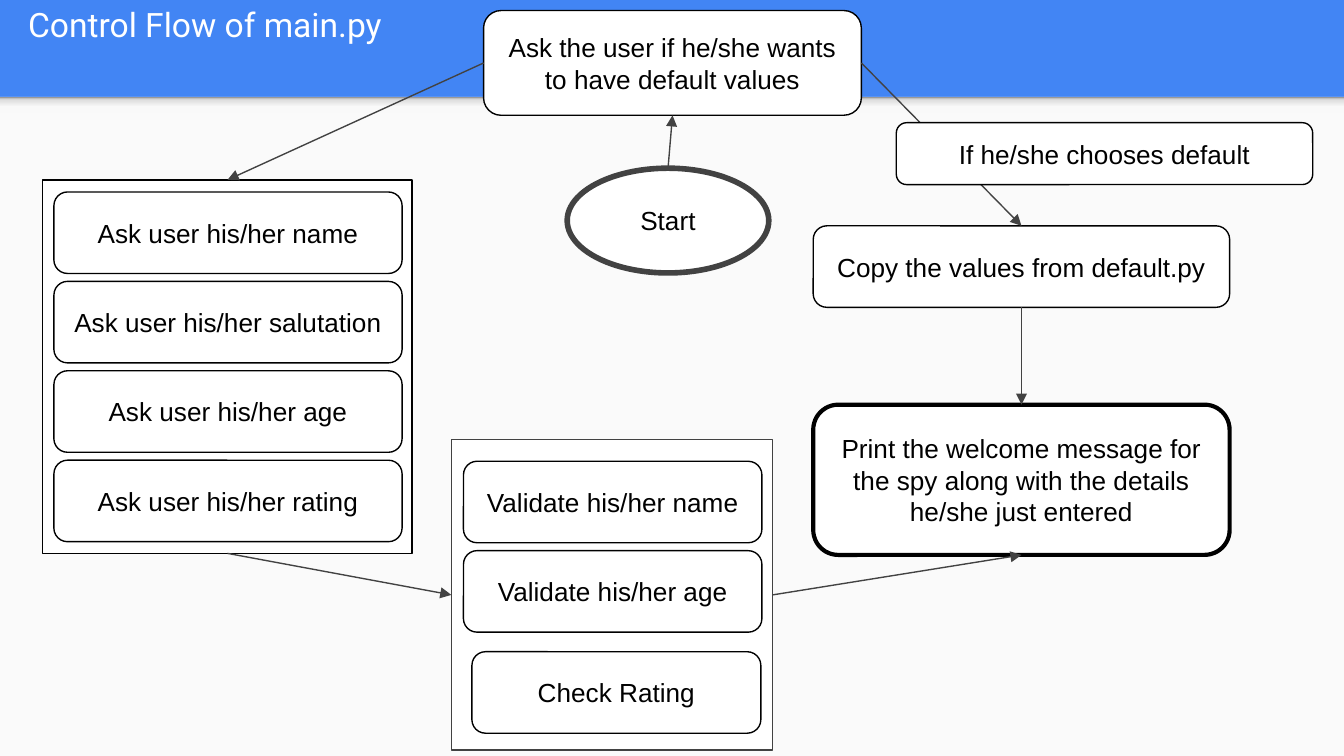
from copy import deepcopy
from pptx import Presentation
from pptx.dml.color import RGBColor as Rgb
from pptx.enum.shapes import MSO_CONNECTOR as Conn, MSO_SHAPE as Form
from pptx.enum.text import MSO_ANCHOR as Anchor, PP_ALIGN as Align
from pptx.oxml.ns import qn
from pptx.util import Cm, Pt
from lxml.etree import SubElement as Sub

HUES = {"blue": "4285F4", "page": "FAFAFA", "white": "FFFFFF",
        "black": "000000", "grey": "424242"}
FADE = [(0, "F9F9F9"), (0.36, "F9F9F9"), (0.8, "DEDEDE"), (1, "999999")]
ROUND, RECT, OVAL = Form.ROUNDED_RECTANGLE, Form.RECTANGLE, Form.OVAL
TITLE = "Control Flow of main.py"

# Lengths in cm: key, form, left, top, width, height, line hue, line points, text
NODES = [
    ("ask", ROUND, 9.14, 0.2, 7.14, 1.98, "black", 0.75,
     "Ask the user if he/she wants to have default values"),
    ("copy", ROUND, 15.37, 4.27, 7.87, 1.54, "black", 0.75,
     "Copy the values from default.py"),
    ("print", ROUND, 15.37, 7.65, 7.87, 2.84, "black", 2.25,
     "Print the welcome message for the spy along with the details he/she just entered"),
    ("input", RECT, 0.81, 3.4, 6.98, 7.06, "black", 0.75, ""),
    ("check", RECT, 8.53, 8.31, 6.07, 5.87, "grey", 0.75, ""),
    ("start", OVAL, 10.72, 3.18, 3.81, 1.98, "grey", 3, "Start"),
]
CHOICE = (ROUND, 16.94, 2.32, 7.87, 1.17, "black", 0.75, "If he/she chooses default")

# Stacks of steps: left, top, width, texts
STACKS = [
    (1.02, 3.63, 6.58, ["Ask user his/her name", "Ask user his/her salutation",
                        "Ask user his/her age", "Ask user his/her rating"]),
    (8.76, 8.72, 5.64, ["Validate his/her name", "Validate his/her age"]),
    (8.92, 12.32, 5.46, ["Check Rating"]),
]
STEP, PITCH = 1.54, 1.69

# Arrows: from, side, to, side
TOP, LEFT, BOTTOM, RIGHT = range(4)
LINKS = [
    ("ask", RIGHT, "copy", TOP), ("copy", BOTTOM, "print", TOP),
    ("ask", LEFT, "input", TOP), ("check", RIGHT, "print", BOTTOM),
    ("start", TOP, "ask", BOTTOM), ("input", BOTTOM, "check", LEFT),
]


def hue(name):
    return Rgb.from_string(HUES[name])


def style(run, face, size, tint):
    for key, val in {"name": face, "size": Pt(size)}.items():
        setattr(run.font, key, val)
    run.font.color.rgb = hue(tint)


def inset(frame):
    for side in ("left", "top", "right", "bottom"):
        setattr(frame, f"margin_{side}", Cm(0.25))
    frame.vertical_anchor = Anchor.MIDDLE
    frame.word_wrap = True


def block(form, x, y, w, h):
    shape = slide.shapes.add_shape(form, Cm(x), Cm(y), Cm(w), Cm(h))
    shape.shadow.inherit = False
    return shape


def node(form, x, y, w, h, edge, width, text):
    shape = block(form, x, y, w, h)
    shape.fill.solid()
    shape.fill.fore_color.rgb = hue("white")
    shape.line.color.rgb = hue(edge)
    shape.line.width = Pt(width)
    if text:
        inset(shape.text_frame)
        par = shape.text_frame.paragraphs[0]
        par.alignment = Align.CENTER
        run = par.add_run()
        run.text = text
        style(run, "Arial", 14, "black")
    return shape


def link(start, out, end, into):
    line = slide.shapes.add_connector(Conn.STRAIGHT, 0, 0, 0, 0)
    line.begin_connect(start, out)
    line.end_connect(end, into)
    line.line.color.rgb = hue("grey")
    line.line.width = Pt(0.75)
    Sub(line.line._get_or_add_ln(), qn("a:tailEnd"), type="triangle")
    Sub(line._element.spPr, qn("a:effectLst"))


deck = Presentation()
deck.slide_width, deck.slide_height = Cm(25.4), Cm(14.29)
slide = deck.slides.add_slide(deck.slide_layouts[5])
slide.background.fill.solid()
slide.background.fill.fore_color.rgb = hue("blue")

# Page below the blue band
page = block(RECT, 0, 1.83, 25.4, 12.46)
page.fill.solid()
page.fill.fore_color.rgb = hue("page")
page.line.fill.background()

# Soft shade under the band
shade = block(RECT, 0, 1.83, 25.4, 0.3)
shade.line.fill.background()
shade.fill.gradient()
shade.fill.gradient_angle = 90
stops = shade._element.spPr.find(".//" + qn("a:gsLst"))
while len(stops) < len(FADE):
    stops.append(deepcopy(stops[0]))
for stop, (pos, tint) in zip(shade.fill.gradient_stops, FADE):
    stop.position = pos
    stop.color.rgb = Rgb.from_string(tint)

# Title
title = slide.shapes.title
for key, val in {"left": 0.28, "top": -0.38, "width": 8.28, "height": 1.68}.items():
    setattr(title, key, Cm(val))
title.text_frame.text = TITLE
inset(title.text_frame)
head = title.text_frame.paragraphs[0]
head.alignment = Align.LEFT
style(head.runs[0], "Roboto", 18, "white")

# Main nodes and the steps in the two frames
nodes = {key: node(*rest) for key, *rest in NODES}
for x, y, w, texts in STACKS:
    for i, text in enumerate(texts):
        node(ROUND, x, y + i * PITCH, w, STEP, "black", 0.75, text)

# Arrows, then the choice label over its arrow
for start, out, end, into in LINKS:
    link(nodes[start], out, nodes[end], into)
node(*CHOICE)

deck.save("out.pptx")
